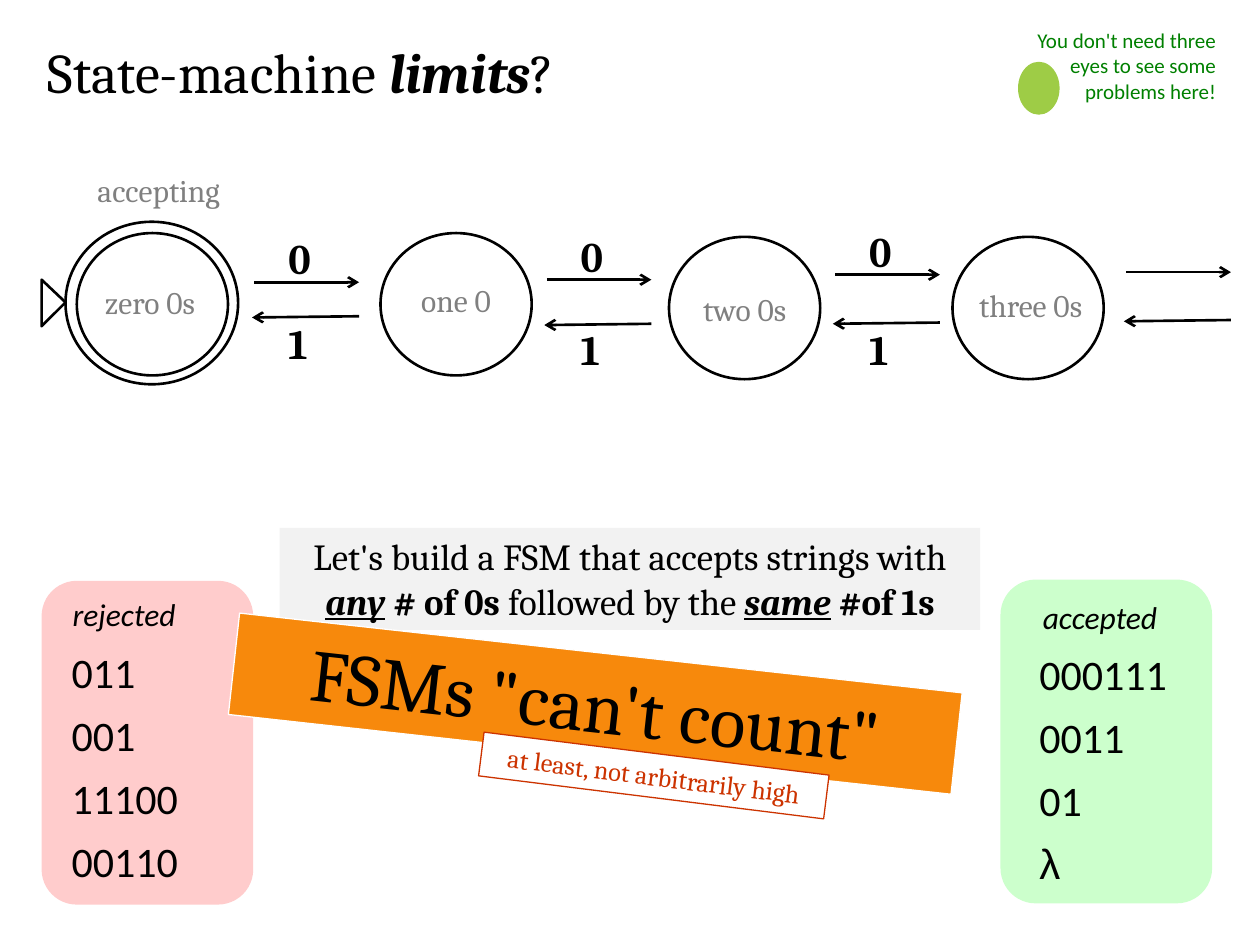
from dataclasses import dataclass

from lxml.etree import SubElement
from pptx import Presentation
from pptx.dml.color import RGBColor
from pptx.enum.shapes import MSO_CONNECTOR, MSO_SHAPE
from pptx.enum.text import MSO_ANCHOR, PP_ALIGN
from pptx.oxml.ns import qn
from pptx.util import Inches, Pt


@dataclass(frozen=True)
class Theme:
    serif: str = "Cambria"
    sans: str = "Calibri"
    symbol: str = "Arial"
    black: str = "000000"
    white: str = "FFFFFF"
    grey: str = "808080"
    panel: str = "F2F2F2"
    pink: str = "FFCCCC"
    mint: str = "CCFFCC"
    green: str = "008000"
    lime: str = "9ECC46"
    orange: str = "F7890C"
    red: str = "CC3300"
    title: int = 32
    banner: int = 42
    task: int = 21
    symbols: int = 24
    label: int = 18
    caption: int = 15
    remark: int = 12
    stroke: float = 1.5
    hairline: float = 0.75


MARKS = {"b": "bold", "i": "italic", "u": "underline"}


class SlideBuilder:
    def __init__(self, slide, theme):
        self.s = slide
        self.t = theme

    def fill_text(self, sp, runs, size, font=None, color=None,
                  align=PP_ALIGN.LEFT, anchor=MSO_ANCHOR.TOP, wrap=True):
        tf = sp.text_frame
        for name, value in {"word_wrap": wrap, "vertical_anchor": anchor}.items():
            setattr(tf, name, value)
        p = tf.paragraphs[0]
        p.alignment = align
        for text, marks in ([(runs, "")] if isinstance(runs, str) else runs):
            r = p.add_run()
            r.text = text
            fmt = {"name": font or self.t.serif, "size": Pt(size)}
            fmt.update({MARKS[m]: True for m in marks})
            for name, value in fmt.items():
                setattr(r.font, name, value)
            r.font.color.rgb = RGBColor.from_string(color or self.t.black)

    def text(self, box, runs, size, **fmt):
        sp = self.s.shapes.add_textbox(*map(Inches, box))
        self.fill_text(sp, runs, size, **fmt)

    def paint(self, sp, fill=None, line=None, width=None):
        sp.shadow.inherit = False
        if fill:
            sp.fill.solid()
            sp.fill.fore_color.rgb = RGBColor.from_string(fill)
        else:
            sp.fill.background()
        if line:
            sp.line.color.rgb = RGBColor.from_string(line)
            sp.line.width = Pt(width or self.t.stroke)
        else:
            sp.line.fill.background()

    def shape(self, kind, box, rotation=0, **style):
        sp = self.s.shapes.add_shape(kind, *map(Inches, box))
        sp.rotation = rotation
        self.paint(sp, **style)
        return sp

    def circle(self, x, y, w=1.2, h=1.13):
        self.shape(MSO_SHAPE.OVAL, (x, y, w, h), line=self.t.black)

    def outline(self, points):
        start, *rest = [(Inches(x), Inches(y)) for x, y in points]
        fb = self.s.shapes.build_freeform(*start)
        fb.add_line_segments(rest, close=True)
        self.paint(fb.convert_to_shape(), line=self.t.black)

    def arrow(self, x1, y1, x2, y2):
        c = self.s.shapes.add_connector(
            MSO_CONNECTOR.STRAIGHT, *map(Inches, (x1, y1, x2, y2)))
        c.line.color.rgb = RGBColor.from_string(self.t.black)
        c.line.width = Pt(self.t.stroke)
        props = c._element.spPr
        SubElement(props.find(qn("a:ln")), qn("a:tailEnd"), type="arrow")
        SubElement(props, qn("a:effectLst"))

    def state(self, x, y, name, label_x, label_y):
        self.circle(x, y)
        self.text((label_x, label_y, 1.34, 0.4), name, self.t.label,
                  color=self.t.grey, align=PP_ALIGN.CENTER, anchor=MSO_ANCHOR.MIDDLE)

    def transition(self, x, y_out, y_back, labels=()):
        self.arrow(x, y_out, x + 0.83, y_out)
        self.arrow(x + 0.83, y_back, x - 0.02, y_back + 0.01)
        for symbol, y in labels:
            self.text((x + 0.17, y, 0.4, 0.5), [(symbol, "b")],
                      self.t.symbols, wrap=False)

    def examples(self, panel_x, panel_y, fill, heading, heading_box, x, y, width, strings):
        self.shape(MSO_SHAPE.ROUNDED_RECTANGLE, (panel_x, panel_y, 1.68, 2.57), fill=fill)
        self.text(heading_box, [(heading, "i")], self.t.label,
                  font=self.t.sans, align=PP_ALIGN.CENTER)
        for i, string in enumerate(strings):
            font = self.t.symbol if string == "λ" else self.t.sans
            self.text((x, y + 0.5 * i, width, 0.5), string, self.t.symbols, font=font)


def main():
    prs = Presentation()
    prs.slide_width, prs.slide_height = Inches(10), Inches(7.5)
    t = Theme()
    b = SlideBuilder(prs.slides.add_slide(prs.slide_layouts[6]), t)

    b.text((0.28, 0.25, 6.98, 0.64),
           [("State-machine ", ""), ("limits", "bi"), ("?", "")], t.title)
    b.text((7.94, 0.17, 1.81, 0.71), "You don't need three eyes to see some problems here!",
           t.remark, font=t.sans, color=t.green, align=PP_ALIGN.RIGHT)
    b.shape(MSO_SHAPE.OVAL, (8.08, 0.49, 0.33, 0.42), fill=t.lime)

    b.examples(0.33, 4.61, t.pink, "rejected", (0.4, 4.67, 1.17, 0.4),
               0.47, 5.08, 1.17, ["011", "001", "11100", "00110"])
    b.examples(7.94, 4.6, t.mint, "accepted", (7.94, 4.7, 1.58, 0.4),
               8.15, 5.1, 1.58, ["000111", "0011", "01", "λ"])

    task = b.shape(MSO_SHAPE.RECTANGLE, (2.22, 4.19, 5.56, 0.81), fill=t.panel)
    b.fill_text(task, [("Let's build a FSM that accepts strings with ", ""), ("any", "biu"),
                       (" ", ""), ("# of 0s ", "b"), ("followed by the ", ""),
                       ("same", "biu"), (" ", ""), ("#of 1s", "b")],
                t.task, align=PP_ALIGN.CENTER)

    b.circle(0.52, 1.76, 1.37, 1.29)
    b.outline([(0.33, 2.22), (0.33, 2.59), (0.52, 2.4)])
    b.text((0.45, 1.31, 1.62, 0.4), "accepting", t.label, color=t.grey,
           align=PP_ALIGN.CENTER, anchor=MSO_ANCHOR.MIDDLE)
    for state in [(0.61, 1.85, "zero 0s", 0.52, 2.2), (3.02, 1.85, "one 0", 2.95, 2.18),
                  (5.31, 1.88, "two 0s", 5.24, 2.25), (7.56, 1.88, "three 0s", 7.51, 2.22)]:
        b.state(*state)
    for x, y_out, y_back, y_zero, y_one in [(2.02, 2.24, 2.51, 1.8, 2.47),
                                            (4.34, 2.22, 2.57, 1.78, 2.52),
                                            (6.63, 2.18, 2.56, 1.74, 2.52)]:
        b.transition(x, y_out, y_back, [("0", y_zero), ("1", y_one)])
    b.transition(8.94, 2.16, 2.54)

    banner = b.shape(MSO_SHAPE.RECTANGLE, (1.84, 5.18, 5.77, 0.81), 6.3,
                     fill=t.orange, line=t.white, width=t.hairline)
    b.fill_text(banner, "FSMs \"can't count\"", t.banner, align=PP_ALIGN.CENTER)
    caption = b.shape(MSO_SHAPE.RECTANGLE, (3.81, 5.98, 2.76, 0.35), 7.1,
                      fill=t.white, line=t.red, width=t.hairline)
    b.fill_text(caption, "at least, not arbitrarily high", t.caption,
                color=t.red, align=PP_ALIGN.CENTER)

    prs.save("out.pptx")


if __name__ == "__main__":
    main()
